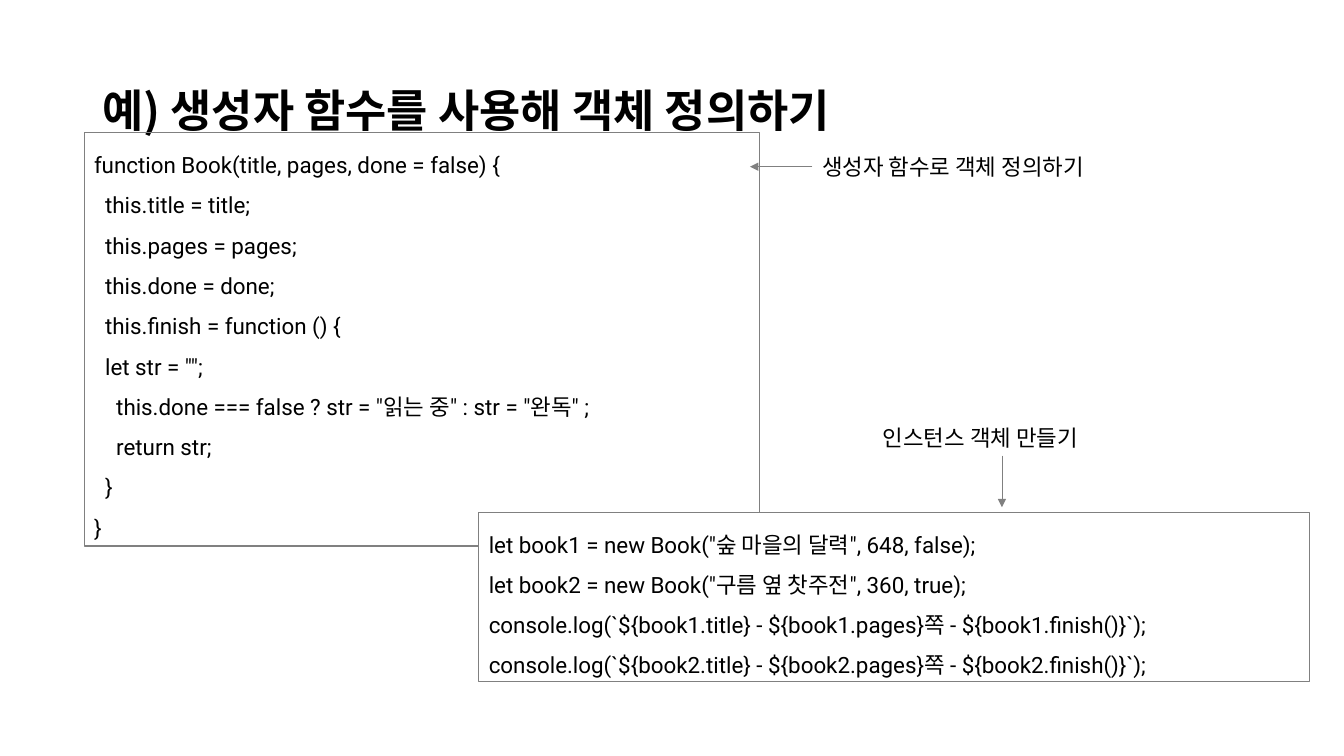
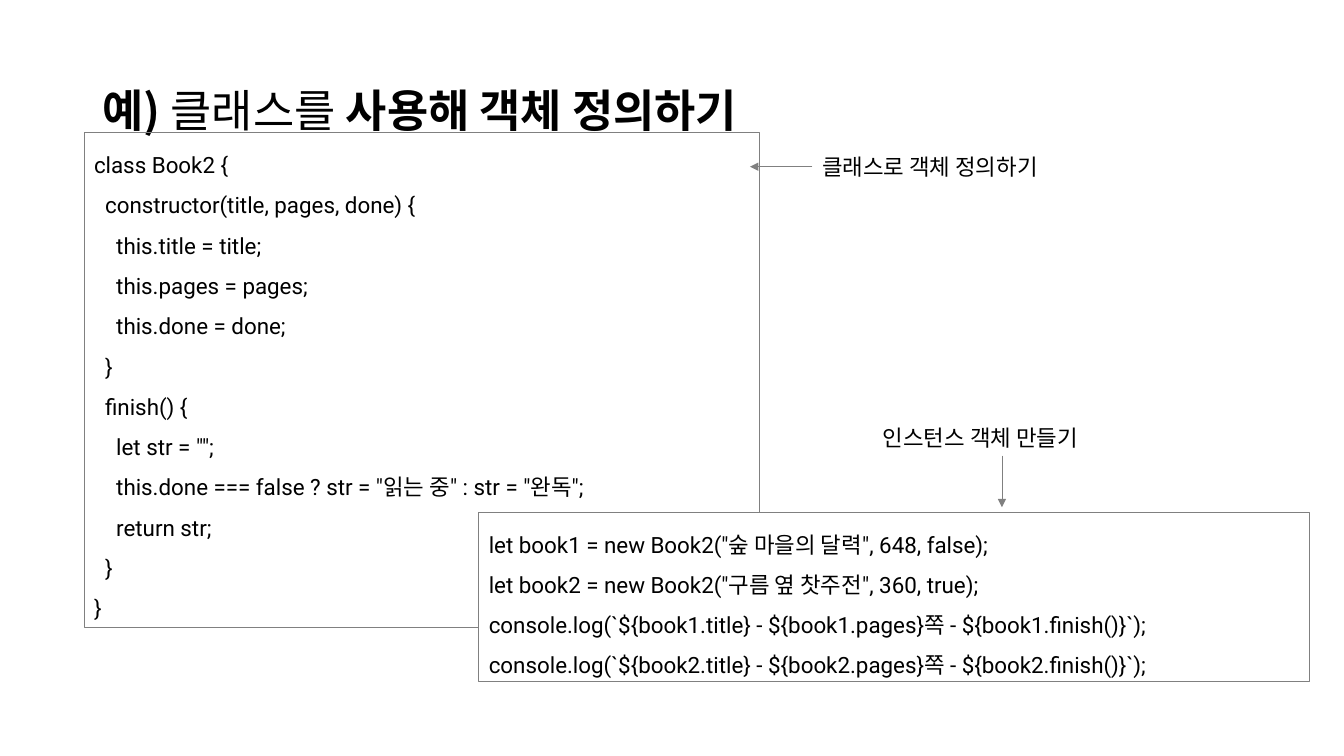
from lxml.etree import SubElement
from pptx import Presentation
from pptx.dml.color import RGBColor
from pptx.enum.shapes import MSO_CONNECTOR, MSO_SHAPE
from pptx.enum.text import MSO_ANCHOR, MSO_AUTO_SIZE, PP_ALIGN
from pptx.oxml.ns import qn
from pptx.util import Cm, Pt

BLACK, GRAY, WHITE = "000000", "808080", "FFFFFF"
KOREAN_FONT, CODE_FONT = "Noto Sans CJK KR", "Roboto"
INDENT = Cm(0.28)


def set_color(color_format, color):
    color_format.rgb = RGBColor.from_string(color)


def write(shape, lines, font_name, size, spacing=1.0, anchor=MSO_ANCHOR.TOP):
    """Write lines, each a nesting level and its (text, bold) runs."""
    frame = shape.text_frame
    frame.word_wrap = True
    frame.vertical_anchor = anchor
    for index, (level, runs) in enumerate(lines):
        paragraph = frame.add_paragraph() if index else frame.paragraphs[0]
        paragraph.alignment = PP_ALIGN.LEFT
        paragraph.line_spacing = spacing
        font = paragraph.font
        font.name, font.size = font_name, Pt(size)
        font.fill.solid()
        set_color(font.fill.fore_color, BLACK)
        properties = paragraph._p.get_or_add_pPr()
        properties.set("marL", str(level * INDENT))
        SubElement(properties.find(qn("a:defRPr")), qn("a:ea"), typeface=KOREAN_FONT)
        for text, bold in runs:
            run = paragraph.add_run()
            run.text = text
            if bold:
                run.font.bold = True


# Content: title runs, definition label, class name, box height, code by level
examples = [
    (
        [("예) 생성자 함수를 사용해 객체 정의하기", True)],
        "생성자 함수로 객체 정의하기", "Book", 10.41,
        [
            (0, "function Book(title, pages, done = false) {"),
            (1, "this.title = title;"),
            (1, "this.pages = pages;"),
            (1, "this.done = done;"),
            (1, "this.finish = function () {"),
            (1, 'let str = "";'),
            (2, 'this.done === false ? str = "읽는 중" : str = "완독" ;'),
            (2, "return str;"),
            (1, "}"),
            (0, "}"),
        ],
    ),
    (
        [("예) ", True), ("클래스를 ", False), ("사용해 객체 정의하기", True)],
        "클래스로 객체 정의하기", "Book2", 12.47,
        [
            (0, "class Book2 {"),
            (1, "constructor(title, pages, done) {"),
            (2, "this.title = title;"),
            (2, "this.pages = pages;"),
            (2, "this.done = done;"),
            (1, "}"),
            (1, "finish() {"),
            (2, 'let str = "";'),
            (2, 'this.done === false ? str = "읽는 중" : str = "완독";'),
            (2, "return str;"),
            (1, "}"),
            (0, "}"),
        ],
    ),
]

presentation = Presentation()
presentation.slide_width, presentation.slide_height = Cm(33.87), Cm(19.05)

for title_runs, definition_label, class_name, height, definition in examples:
    slide = presentation.slides.add_slide(presentation.slide_layouts[6])

    # Title
    title = slide.shapes.add_textbox(Cm(2.33), Cm(1.01), Cm(29.21), Cm(3.68))
    write(title, [(0, title_runs)], KOREAN_FONT, 32, 0.9, MSO_ANCHOR.MIDDLE)

    # Code boxes: the definition, then its use in front
    usage = [
        (0, f'let book1 = new {class_name}("숲 마을의 달력", 648, false);'),
        (0, f'let book2 = new {class_name}("구름 옆 찻주전", 360, true);'),
    ]
    for book in ("book1", "book2"):
        usage.append((0, f"console.log(`${{{book}.title}} - ${{{book}.pages}}쪽 - ${{{book}.finish()}}`);"))
    for left, top, width, box_height, code, filled in (
        (2.12, 3.35, 17.02, height, definition, False),
        (12.07, 12.91, 20.93, 4.27, usage, True),
    ):
        box = slide.shapes.add_shape(MSO_SHAPE.RECTANGLE, Cm(left), Cm(top), Cm(width), Cm(box_height))
        box.shadow.inherit = False
        if filled:
            box.fill.solid()
            set_color(box.fill.fore_color, WHITE)
        else:
            box.fill.background()
        set_color(box.line.color, GRAY)
        box.line.width = Pt(0.75)
        write(box, [(level, [(text, False)]) for level, text in code], CODE_FONT, 16, 1.5)
        box.text_frame.auto_size = MSO_AUTO_SIZE.SHAPE_TO_FIT_TEXT

    # Labels with arrows
    for text, left, top, start, end, joined in (
        (definition_label, 20.47, 3.73, (20.47, 4.2), (18.9, 4.2), True),
        ("인스턴스 객체 만들기", 22, 10.57, (25.25, 11.48), (25.25, 12.78), False),
    ):
        label = slide.shapes.add_textbox(Cm(left), Cm(top), Cm(8.1), Cm(0.94))
        write(label, [(0, [(text, False)])], KOREAN_FONT, 16)
        arrow = slide.shapes.add_connector(MSO_CONNECTOR.STRAIGHT, *map(Cm, start + end))
        if joined:
            arrow.begin_connect(label, 1)
        set_color(arrow.line.color, GRAY)
        arrow.line.width = Pt(0.5)
        SubElement(arrow.line._get_or_add_ln(), qn("a:tailEnd"), type="triangle")
        SubElement(arrow._element.spPr, qn("a:effectLst"))

presentation.save("out.pptx")
